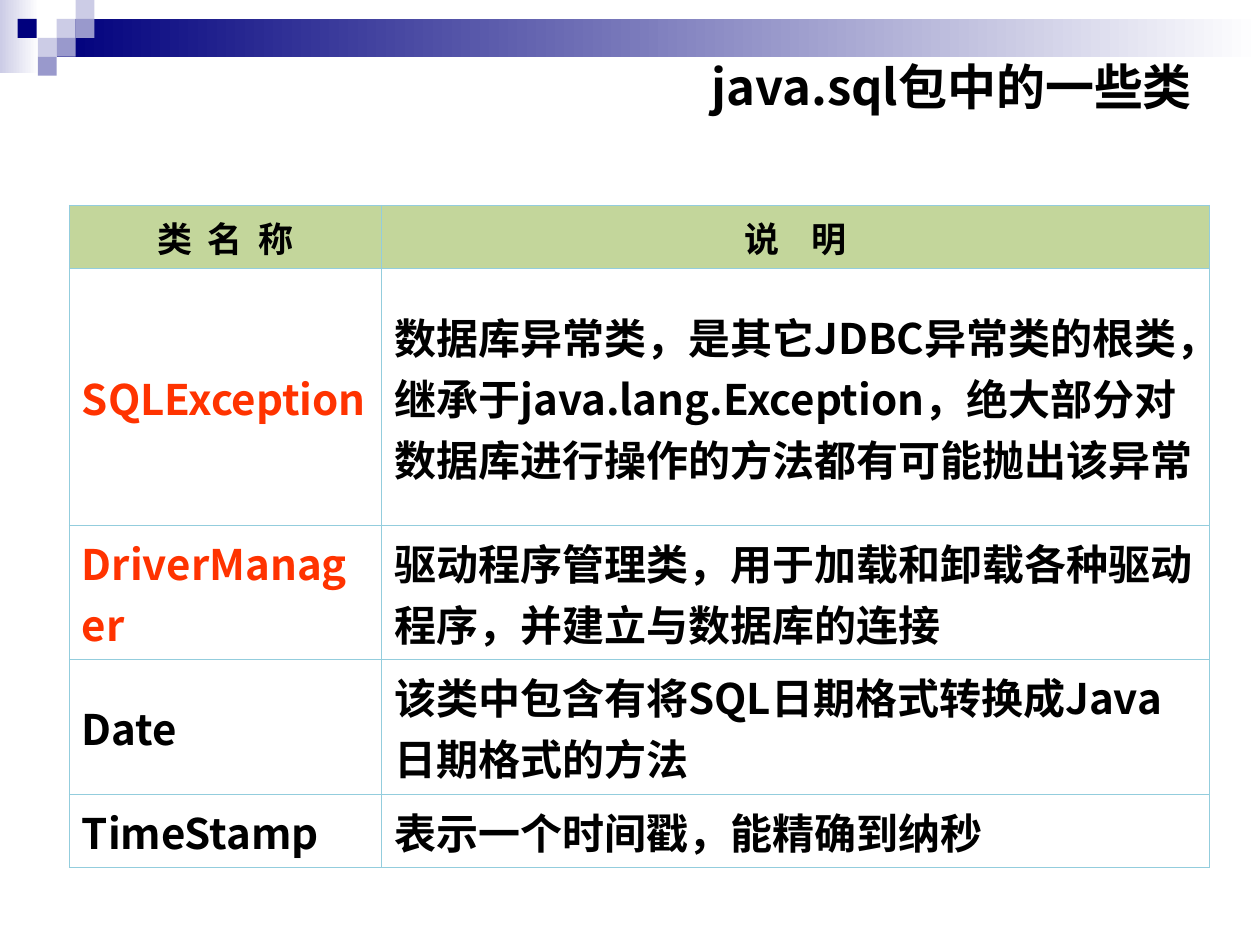
from lxml.etree import SubElement
from pptx import Presentation
from pptx.dml.color import RGBColor
from pptx.enum.shapes import MSO_SHAPE as SHAPE
from pptx.enum.text import MSO_ANCHOR as ANCHOR, MSO_AUTO_SIZE as AUTO, PP_ALIGN as ALIGN
from pptx.oxml.ns import qn
from pptx.util import Inches, Pt

FONT = "Noto Sans CJK SC"
NAVY, MID, PALE, WHITE = "00007D", "9999CC", "CCCCE6", "FFFFFF"
BLACK, RED, GREEN, BORDER = "000000", "FF3300", "C3D69B", "93CDDD"
SQUARES = [
    (0.45, 0.15, PALE), (0.6, 0, PALE), (0.6, 0.15, MID), (0.3, 0.3, PALE),
    (0.14, 0.15, NAVY), (0.45, 0.3, MID), (0.3, 0.45, MID),
]
HEADERS = [("类 名 称", 2.25), ("说 明", 6.7)]
CLASSES = [
    ("SQLException", RED, "数据库异常类，是其它JDBC异常类的根类，继承于java.lang.Exception，绝大部分对数据库进行操作的方法都有可能抛出该异常"),
    ("DriverManager", RED, "驱动程序管理类，用于加载和卸载各种驱动程序，并建立与数据库的连接"),
    ("Date", BLACK, "该类中包含有将SQL日期格式转换成Java日期格式的方法"),
    ("TimeStamp", BLACK, "表示一个时间戳，能精确到纳秒"),
]
COLUMNS = [2.48, 6.57]
ROWS = [0.43, 1.7, 0.9, 0.9, 0.5]


def rgb(value):
    return RGBColor.from_string(value)


def add_run(p, text, size, color=BLACK, spacing=0):
    r = p.add_run()
    r.text = text
    r.font.size = Pt(size)
    r.font.bold = True
    r.font.name = FONT
    r.font.color.rgb = rgb(color)
    props = r.font._element
    SubElement(props, qn("a:ea")).set("typeface", FONT)
    if spacing:
        props.set("spc", str(round(spacing * 100)))


def add_block(s, left, top, width, height, *colors):
    sp = s.shapes.add_shape(SHAPE.RECTANGLE, Inches(left), Inches(top), Inches(width), Inches(height))
    sp.shadow.inherit = False
    sp.line.fill.background()
    if len(colors) == 1:
        sp.fill.solid()
        sp.fill.fore_color.rgb = rgb(colors[0])
    else:
        sp.fill.gradient()
        sp.fill.gradient_angle = 0
        for stop, color in zip(sp.fill.gradient_stops, colors):
            stop.color.rgb = rgb(color)


def add_banner(s):
    add_block(s, 0, 0, 0.31, 0.58, PALE, WHITE)
    add_block(s, 0.45, 0.15, 9.55, 0.3, NAVY, WHITE)
    for left, top, color in SQUARES:
        add_block(s, left, top, 0.15, 0.15, color)


def set_title(s, text):
    title = s.shapes.title
    title.left, title.top = Inches(4.76), Inches(0.44)
    title.width, title.height = Inches(4.8), Inches(0.49)
    tf = title.text_frame
    tf.auto_size = AUTO.NONE
    tf.word_wrap = True
    tf.vertical_anchor = ANCHOR.MIDDLE
    p = tf.paragraphs[0]
    p.alignment = ALIGN.RIGHT
    add_run(p, text, 28)


def set_borders(cell, widths):
    props = cell._tc.get_or_add_tcPr()
    for i, (side, width) in enumerate(widths.items()):
        line = props.makeelement(qn(f"a:ln{side}"), {"w": str(Pt(width))})
        fill = SubElement(line, qn("a:solidFill"))
        SubElement(fill, qn("a:srgbClr")).set("val", BORDER)
        props.insert(i, line)


def fill_cell(cell, text, size, color=BLACK, fill=WHITE, align=ALIGN.LEFT, spacing=0):
    cell.fill.solid()
    cell.fill.fore_color.rgb = rgb(fill)
    cell.vertical_anchor = ANCHOR.MIDDLE
    p = cell.text_frame.paragraphs[0]
    p.alignment = align
    add_run(p, text, size, color, spacing)


def add_class_table(s):
    frame = s.shapes.add_table(len(ROWS), len(COLUMNS), Inches(0.55), Inches(1.63),
                               Inches(sum(COLUMNS)), Inches(sum(ROWS)))
    table = frame.table
    for column, width in zip(table.columns, COLUMNS):
        column.width = Inches(width)
    for row, height in zip(table.rows, ROWS):
        row.height = Inches(height)
    for c, (text, spacing) in enumerate(HEADERS):
        fill_cell(table.cell(0, c), text, 20, fill=GREEN, align=ALIGN.CENTER, spacing=spacing)
    for i, (name, color, description) in enumerate(CLASSES, 1):
        fill_cell(table.cell(i, 0), name, 24, color)
        fill_cell(table.cell(i, 1), description, 24)
    for i in range(len(ROWS)):
        for c in range(len(COLUMNS)):
            outer = {"L": c == 0, "R": c == len(COLUMNS) - 1, "T": i == 0, "B": i == len(ROWS) - 1}
            set_borders(table.cell(i, c), {side: 0.75 if edge else 0.45 for side, edge in outer.items()})


def main():
    prs = Presentation()
    prs.slide_width, prs.slide_height = Inches(10), Inches(7.5)
    s = prs.slides.add_slide(prs.slide_layouts[5])
    add_banner(s)
    set_title(s, "java.sql包中的一些类")
    add_class_table(s)
    prs.save("out.pptx")


if __name__ == "__main__":
    main()
